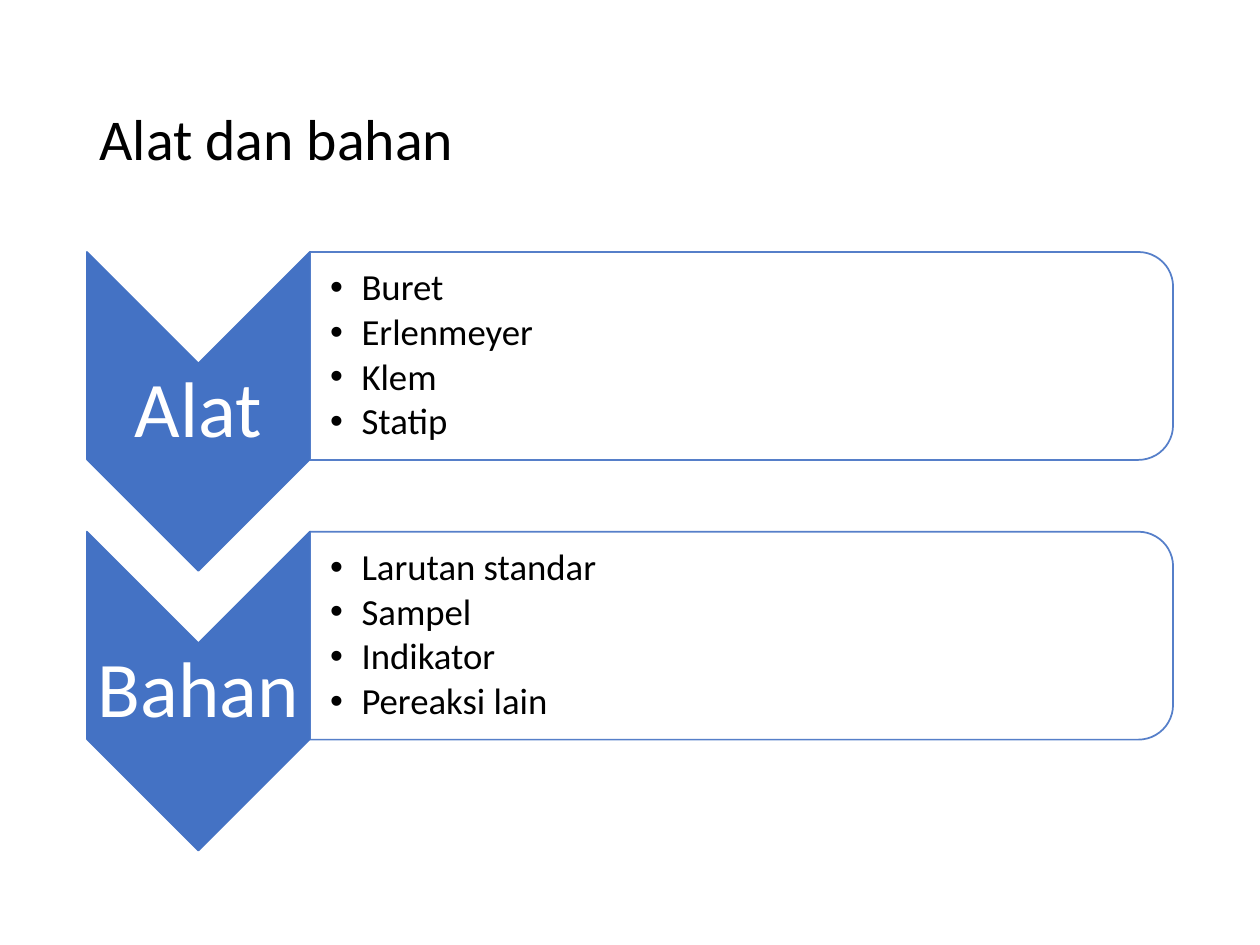
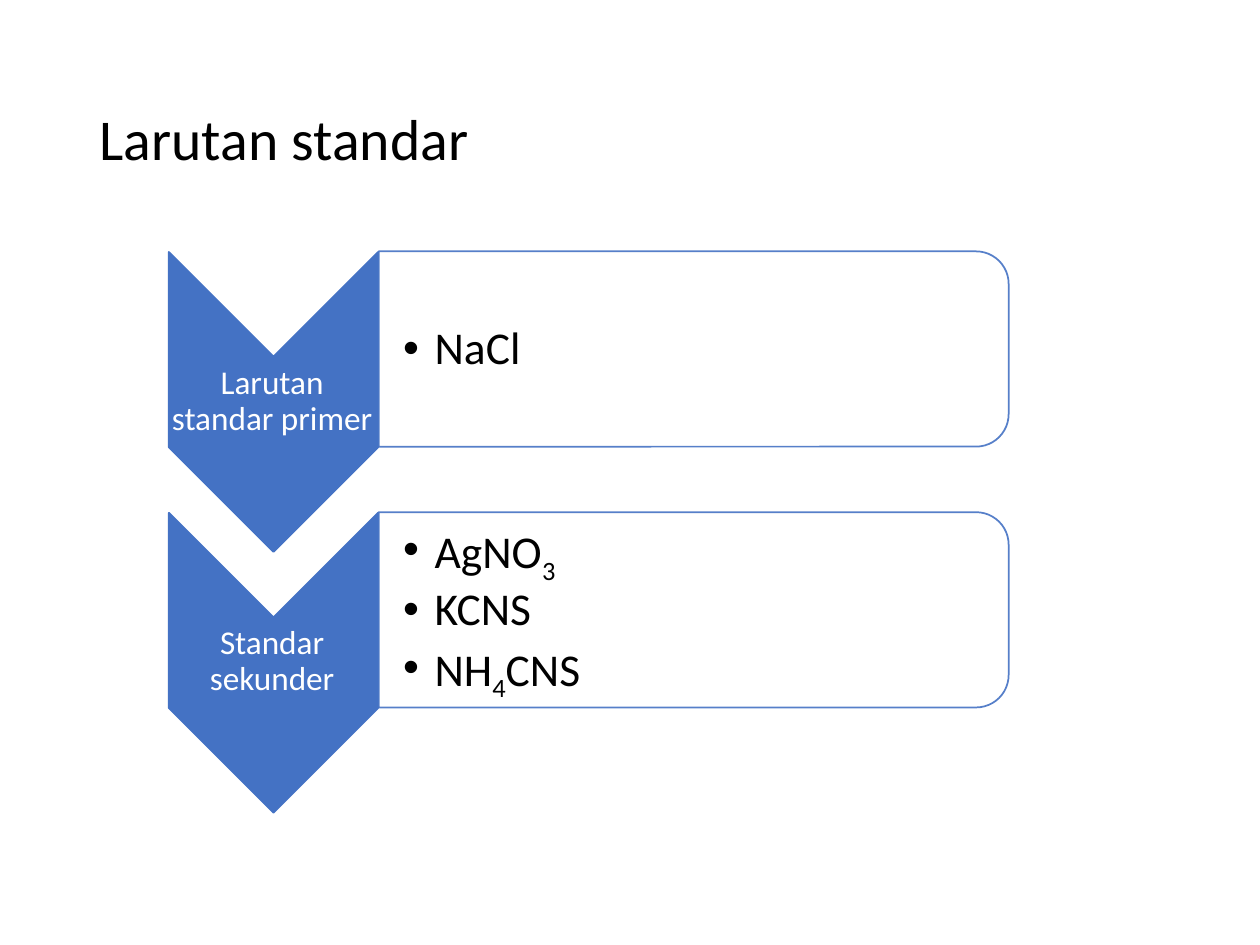
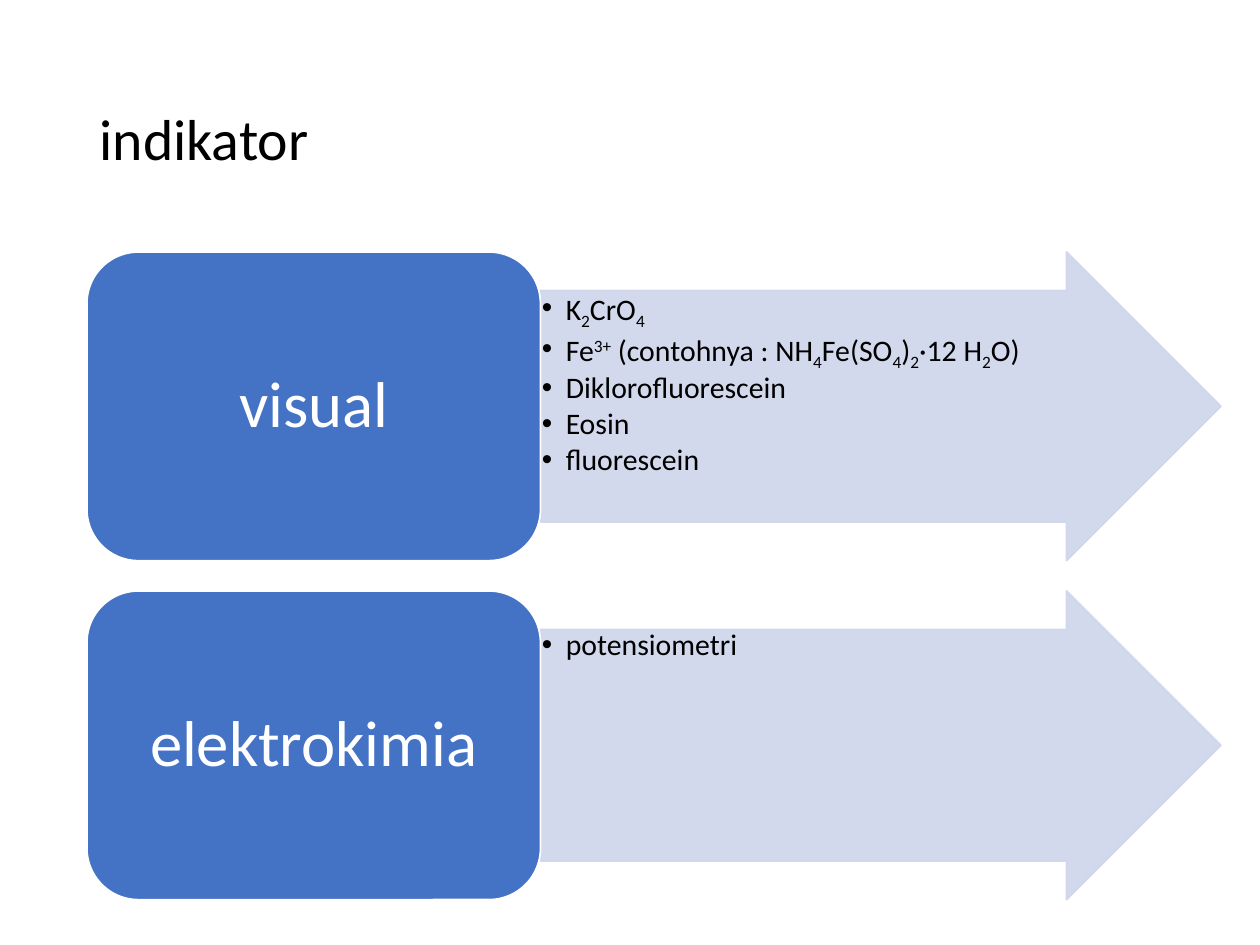
from lxml.etree import SubElement
from pptx import Presentation
from pptx.dml.color import RGBColor
from pptx.enum.shapes import MSO_SHAPE as Preset
from pptx.enum.text import MSO_ANCHOR as Anchor, MSO_AUTO_SIZE as AutoSize, PP_ALIGN as Align
from pptx.oxml.ns import qn
from pptx.util import Inches, Pt

BLUE = RGBColor(0x44, 0x72, 0xC4)
PALE = RGBColor(0xCF, 0xD5, 0xEA)
WHITE = RGBColor(0xFF, 0xFF, 0xFF)
BLACK = RGBColor(0x00, 0x00, 0x00)
FONT = "Calibri"


def draw_shape(page, preset, place, fill, line, rotation=0, opacity=100):
    shape = page.shapes.add_shape(preset, *map(Inches, place))
    shape.shadow.inherit = False
    shape.rotation = rotation
    shape.fill.solid()
    shape.fill.fore_color.rgb = fill
    shape.line.color.rgb = line
    shape.line.width = Pt(1)
    if opacity < 100:
        for color in shape.element.spPr.iter(qn("a:srgbClr")):
            SubElement(color, qn("a:alpha"), val=str(opacity * 1000))
    return shape


def write_text(box, lines, size, color, insets, align=Align.LEFT, anchor=Anchor.MIDDLE, indent=0):
    frame = box.text_frame
    frame.word_wrap = True
    frame.auto_size = AutoSize.NONE
    frame.vertical_anchor = anchor
    frame.margin_left, frame.margin_top, frame.margin_right, frame.margin_bottom = map(Inches, insets)
    for number, line in enumerate(lines):
        para = frame.add_paragraph() if number else frame.paragraphs[0]
        if indent:
            properties = para._p.get_or_add_pPr()
            properties.set("marL", str(Inches(indent)))
            properties.set("indent", str(-Inches(indent)))
            SubElement(properties, qn("a:buFont"), typeface="Arial")
            SubElement(properties, qn("a:buChar"), char="•")
            para.space_after = Pt(round(size * 0.14, 1))
        para.alignment = align
        para.line_spacing = 0.9
        for position, piece in enumerate(line.split("|")):
            span = para.add_run()
            span.text = piece
            span.font.name = FONT
            span.font.size = Pt(size)
            span.font.color.rgb = color
            if position % 2:
                baseline = "30000" if piece.endswith("+") else "-25000"
                span._r.get_or_add_rPr().set("baseline", baseline)


deck = Presentation()
deck.slide_width = Inches(10)
deck.slide_height = Inches(7.5)

pages = []
for heading in ("Alat dan bahan", "Larutan standar", "indikator"):
    page = deck.slides.add_slide(deck.slide_layouts[5])
    title = page.shapes.title
    title.left, title.top, title.width, title.height = map(Inches, (0.69, 0.4, 8.62, 1.45))
    write_text(title, [heading], 33, BLACK, (0.1, 0.05, 0.1, 0.05))
    pages.append(page)

chevron_lists = [
    {
        "page": pages[0], "pitch": 2.22,
        "chevron": (0.31, 2.38, 2.53, 1.77), "label": (0.69, 2.89, 1.77, 0.76),
        "panel": (5.06, -0.6, 1.65, 6.85), "items": (2.46, 2.08, 6.77, 1.49),
        "label_size": 45, "label_inset": 0.03, "item_size": 21, "item_insets": (0.16, 0.01, 0.01, 0.01),
        "rows": [
            ("Alat", ["Buret", "Erlenmeyer", "Klem", "Statip"]),
            ("Bahan", ["Larutan standar", "Sampel", "Indikator", "Pereaksi lain"]),
        ],
    },
    {
        "page": pages[1], "pitch": 2.07,
        "chevron": (0.98, 2.36, 2.38, 1.66), "label": (1.33, 2.83, 1.66, 0.71),
        "panel": (4.73, 0.27, 1.55, 5), "items": (3, 2.08, 4.93, 1.4),
        "label_size": 19, "label_inset": 0.01, "item_size": 26, "item_insets": (0.2, 0.02, 0.02, 0.02),
        "rows": [
            ("Larutan standar primer", ["NaCl"]),
            ("Standar sekunder", ["AgNO|3", "KCNS", "NH|4|CNS"]),
        ],
    },
]

for chart in chevron_lists:
    page = chart["page"]
    for row, (name, items) in enumerate(chart["rows"]):
        chevron, label, panel, item_area = [
            (left, top + row * chart["pitch"], width, height)
            for left, top, width, height in (chart[part] for part in ("chevron", "label", "panel", "items"))
        ]
        draw_shape(page, Preset.CHEVRON, chevron, BLUE, BLUE, rotation=90)
        box = page.shapes.add_textbox(*map(Inches, label))
        write_text(box, [name], chart["label_size"], WHITE, [chart["label_inset"]] * 4, Align.CENTER)
        draw_shape(page, Preset.ROUND_2_SAME_RECTANGLE, panel, WHITE, BLUE, rotation=90, opacity=90)
        box = page.shapes.add_textbox(*map(Inches, item_area))
        write_text(box, items, chart["item_size"], BLACK, chart["item_insets"], indent=0.25)

indicators = [
    ("visual", [
        "K|2|CrO|4",
        "Fe|3+| (contohnya : NH|4|Fe(SO|4|)|2|·12 H|2|O)",
        "Diklorofluorescein",
        "Eosin",
        "fluorescein",
    ]),
    ("elektrokimia", ["potensiometri"]),
]

page = pages[2]
for row, (name, items) in enumerate(indicators):
    top = 2 + row * 2.69
    arrow = draw_shape(page, Preset.RIGHT_ARROW, (4.29, top, 5.4, 2.45), PALE, PALE, opacity=90)
    arrow.adjustments[0] = 0.75
    arrow.adjustments[1] = 0.5
    box = page.shapes.add_textbox(*map(Inches, (4.29, top + 0.3, 4.48, 1.84)))
    write_text(box, items, 17, BLACK, [0.01] * 4, anchor=Anchor.TOP, indent=0.19)
    draw_shape(page, Preset.ROUNDED_RECTANGLE, (0.69, top, 3.6, 2.45), BLUE, WHITE)
    box = page.shapes.add_textbox(*map(Inches, (0.81, top + 0.12, 3.36, 2.21)))
    write_text(box, [name], 37, WHITE, (0.15, 0.08, 0.15, 0.08), Align.CENTER)

deck.save("out.pptx")
